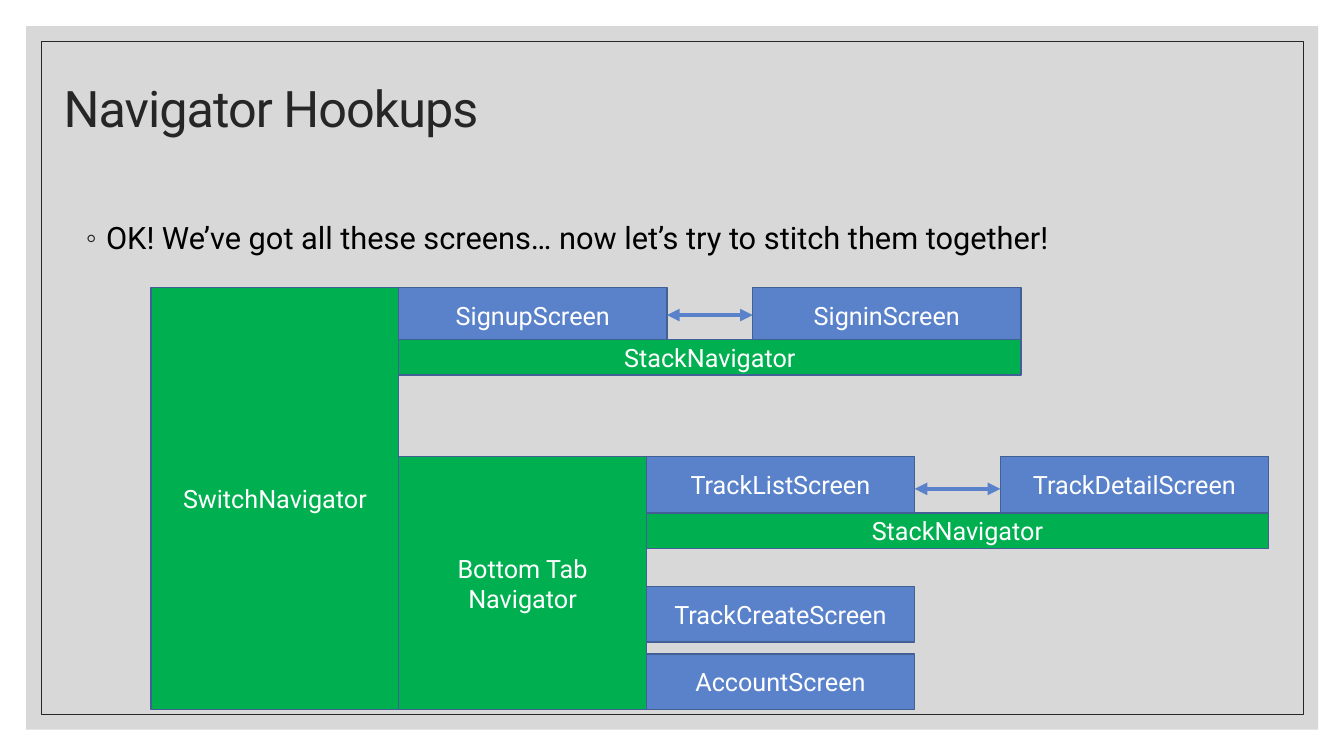
from lxml.etree import SubElement
from pptx import Presentation
from pptx.dml.color import RGBColor
from pptx.enum.shapes import MSO_CONNECTOR, MSO_SHAPE
from pptx.enum.text import MSO_ANCHOR, MSO_AUTO_SIZE, PP_ALIGN
from pptx.oxml.ns import qn
from pptx.util import Cm, Pt

# Content
TITLE = "Navigator Hookups"
INTRO = "OK! We’ve got all these screens… now let’s try to stitch them together!"
COLOURS = {"panel": "BFBFBF", "ink": "262626", "black": "000000", "white": "FFFFFF",
           "screen": "5A82CB", "navigator": "00B050", "edge": "436096"}

# Layout in centimetres: navigator columns, then screens at an even pitch
LEFT, COLUMN = 3.81, 6.24
SCREEN_W, SCREEN_H, PITCH = 6.76, 1.4, 8.92
STACK_H = 0.89
AUTH_TOP, TAB_TOP, BOTTOM = 7.24, 11.51, 17.88

# (text, column, screen place, top)
SCREENS = [
    ("TrackListScreen", 2, 0, TAB_TOP),
    ("TrackDetailScreen", 2, 1, TAB_TOP),
    ("TrackCreateScreen", 2, 0, 14.78),
    ("AccountScreen", 2, 0, BOTTOM - SCREEN_H),
    ("SignupScreen", 1, 0, AUTH_TOP),
    ("SigninScreen", 1, 1, AUTH_TOP),
]
# (text, column, top, width, height)
NAVIGATORS = [
    ("StackNavigator", 1, 8.56, PITCH + SCREEN_W, STACK_H),
    ("StackNavigator", 2, 12.93, PITCH + SCREEN_W, STACK_H),
    ("Bottom Tab Navigator", 1, TAB_TOP, COLUMN, BOTTOM - TAB_TOP),
    ("SwitchNavigator", 0, AUTH_TOP, COLUMN, BOTTOM - AUTH_TOP),
]


def colour(name):
    return RGBColor.from_string(COLOURS[name])


def write(box, text, size=18, ink="white", align=PP_ALIGN.CENTER,
          anchor=MSO_ANCHOR.MIDDLE, spacing=1.0):
    frame = box.text_frame
    frame.word_wrap = True
    frame.auto_size = MSO_AUTO_SIZE.NONE
    frame.vertical_anchor = anchor
    para = frame.paragraphs[0]
    para.alignment, para.line_spacing, para.space_before = align, spacing, Pt(0)
    span = para.add_run()
    span.text = text
    span.font.name, span.font.size = "Roboto", Pt(size)
    span.font.color.rgb = colour(ink)
    return para


def add_box(left, top, width, height, fill=None, edge=None, weight=1):
    box = page.shapes.add_shape(MSO_SHAPE.RECTANGLE, Cm(left), Cm(top), Cm(width), Cm(height))
    box.shadow.inherit = False
    if fill:
        box.fill.solid()
        box.fill.fore_color.rgb = colour(fill)
    else:
        box.fill.background()
    if edge:
        box.line.color.rgb = colour(edge)
        box.line.width = Pt(weight)
    else:
        box.line.fill.background()
    return box


def add_arrow(start, end, y):
    arrow = page.shapes.add_connector(MSO_CONNECTOR.STRAIGHT, start.left + start.width, y, end.left, y)
    arrow.line.color.rgb = colour("screen")
    arrow.line.width = Pt(3)
    line = arrow.line._get_or_add_ln()
    for tip in ("a:headEnd", "a:tailEnd"):
        SubElement(line, qn(tip), type="triangle")
    SubElement(arrow._element.spPr, qn("a:effectLst"))
    return arrow


def place(box, left, top, width, height):
    box.left, box.top, box.width, box.height = Cm(left), Cm(top), Cm(width), Cm(height)


deck = Presentation()
deck.slide_width, deck.slide_height = Cm(33.87), Cm(19.05)
page = deck.slides.add_slide(deck.slide_layouts[1])

# Grey panel and thin frame, behind the text
panel = add_box(0.66, 0.66, 32.56, 17.73, fill="panel")
SubElement(panel._element.spPr.find(".//" + qn("a:srgbClr")), qn("a:alpha"), val="60000")
border = add_box(1.04, 1.04, 31.8, 16.97, edge="ink", weight=0.5)
for depth, box in enumerate((panel, border), start=2):
    page.shapes._spTree.insert(depth, box._element)

# Title and bullet
title, body = page.placeholders
place(title, 1.35, 0.89, 27.94, 3.81)
heading = write(title, TITLE, size=36, ink="ink", align=PP_ALIGN.LEFT, spacing=0.9)
heading.runs[0].font._element.set("spc", "-70")

place(body, 1.91, 5.21, 28.47, 12.62)
bullet = write(body, INTRO, size=22, ink="black", align=PP_ALIGN.LEFT,
               anchor=MSO_ANCHOR.TOP, spacing=1.2)
props = bullet._p.get_or_add_pPr()
props.set("marL", str(Cm(0.51)))
props.set("indent", str(Cm(-0.51)))
SubElement(SubElement(props, qn("a:buClr")), qn("a:srgbClr"), val=COLOURS["ink"])
SubElement(props, qn("a:buChar"), char="◦")

# Screens
screens = {}
for text, column, spot, top in SCREENS:
    screens[text] = add_box(LEFT + column * COLUMN + spot * PITCH, top, SCREEN_W, SCREEN_H,
                            fill="screen", edge="edge")
    write(screens[text], text)

# Arrows between stacked screens; the lower one runs just below the middle
signup, signin = screens["SignupScreen"], screens["SigninScreen"]
auth_arrow = add_arrow(signup, signin, signup.top + signup.height // 2)
auth_arrow.begin_connect(signup, 3)
auth_arrow.end_connect(signin, 1)
add_arrow(screens["TrackListScreen"], screens["TrackDetailScreen"], Cm(12.32))

# Navigators
for text, column, top, width, height in NAVIGATORS:
    write(add_box(LEFT + column * COLUMN, top, width, height, fill="navigator", edge="edge"), text)

deck.save("out.pptx")
